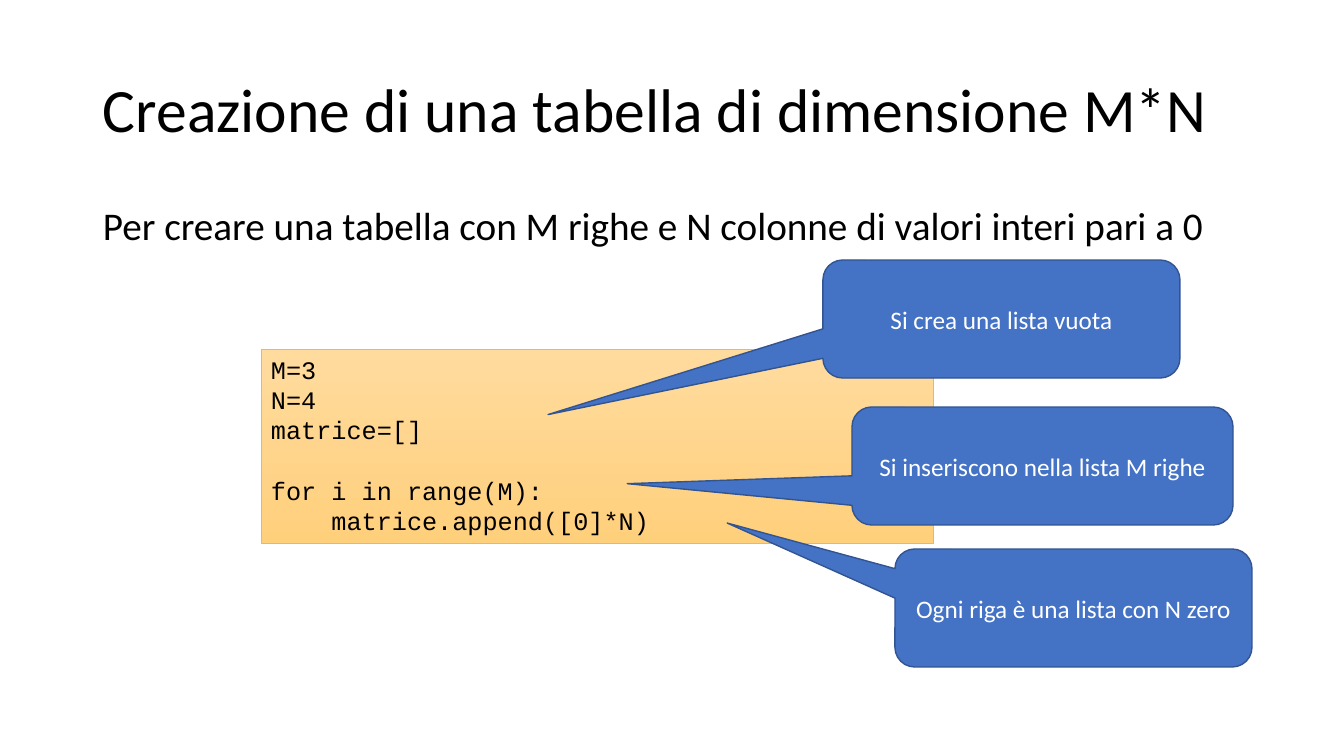
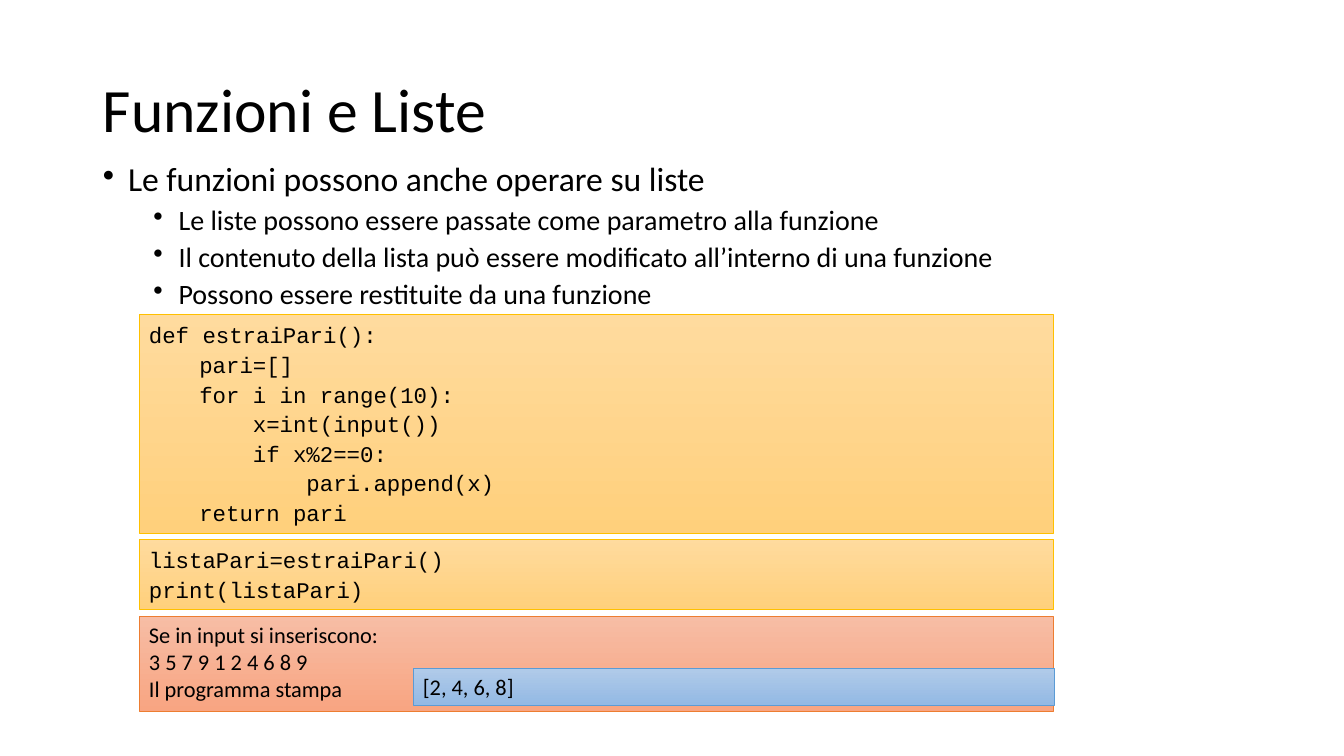
from pptx import Presentation
from pptx.dml.color import RGBColor
from pptx.enum.shapes import MSO_SHAPE
from pptx.enum.text import MSO_ANCHOR, PP_ALIGN
from pptx.oxml.ns import qn
from pptx.util import Pt
from lxml import etree

PX = 914400 / 100.8
RECTANGLE = MSO_SHAPE.RECTANGLE
CALLOUT = MSO_SHAPE.ROUNDED_RECTANGULAR_CALLOUT
TOP, MIDDLE = MSO_ANCHOR.TOP, MSO_ANCHOR.MIDDLE
LEFT, CENTER = PP_ALIGN.LEFT, PP_ALIGN.CENTER

BODY_FONT, CODE_FONT = "Calibri", "Courier New"
BLACK = RGBColor(0x00, 0x00, 0x00)
WHITE = RGBColor(0xFF, 0xFF, 0xFF)
BLUE = RGBColor(0x44, 0x72, 0xC4)
DARK_BLUE = RGBColor(0x32, 0x54, 0x91)
# Panel colours: gradient top, gradient bottom, border
YELLOW_PANEL = (RGBColor(0xFF, 0xDB, 0x9E), RGBColor(0xFF, 0xD0, 0x7C), RGBColor(0xFF, 0xC0, 0x00))
ORANGE_PANEL = (RGBColor(0xF7, 0xBD, 0xA5), RGBColor(0xF8, 0xA5, 0x82), RGBColor(0xED, 0x7D, 0x31))
BLUE_PANEL = (RGBColor(0xB1, 0xCB, 0xE9), RGBColor(0x93, 0xB9, 0xE4), RGBColor(0x5B, 0x9B, 0xD5))


def add_text(slide, box, lines, size, font=BODY_FONT, color=BLACK, shape_type=None,
             anchor=TOP, alignment=LEFT, line_spacing=1.0):
    """Add a text box, or a preset shape, with one paragraph per line."""
    bounds = [round(length * PX) for length in box]
    if shape_type is None:
        shape = slide.shapes.add_textbox(*bounds)
    else:
        shape = slide.shapes.add_shape(shape_type, *bounds)
        shape.shadow.inherit = False
    frame = shape.text_frame
    frame.word_wrap = True
    frame.vertical_anchor = anchor
    frame.text = "\n".join(lines)
    for paragraph in frame.paragraphs:
        paragraph.alignment = alignment
        paragraph.line_spacing = line_spacing
        paragraph.font.size = Pt(size)
        paragraph.font.name = font
        paragraph.font.color.rgb = color
    return shape


def add_panel(slide, box, lines, size, colors, font=BODY_FONT, line_spacing=1.0):
    """Add a bordered rectangle with a vertical gradient."""
    panel = add_text(slide, box, lines, size, font, shape_type=RECTANGLE,
                     line_spacing=line_spacing)
    panel.fill.gradient()
    panel.fill.gradient_angle = 270
    for stop, color in zip(panel.fill.gradient_stops, colors):
        stop.color.rgb = color
    panel.line.color.rgb = colors[2]
    panel.line.width = Pt(0.5)
    return panel


presentation = Presentation()
presentation.slide_width = round(1344 * PX)
presentation.slide_height = round(756 * PX)

# Slides and their titles
slides = []
for title in ("Creazione di una tabella di dimensione M*N", "Funzioni e Liste"):
    slide = presentation.slides.add_slide(presentation.slide_layouts[6])
    add_text(slide, (93, 40, 1159, 146), [title], 44, anchor=MIDDLE, line_spacing=0.9)
    slides.append(slide)
table_slide, functions_slide = slides

# Slide 1: introduction and code
add_text(table_slide, (93, 202, 1159, 480),
         ["Per creare una tabella con M righe e N colonne di valori interi pari a 0"],
         28, line_spacing=0.9)
code = add_panel(table_slide, (261, 349, 672, 194),
                 ["M=3", "N=4", "matrice=[]", "for i in range(M):", "    matrice.append([0]*N)"],
                 18, YELLOW_PANEL, CODE_FONT)
code.text_frame.paragraphs[3].space_before = Pt(21.6)

# Slide 1: callouts pointing at the code
callouts = [
    (823, 260, 357, "Si crea una lista vuota", (-1.27, 0.81)),
    (852, 407, 381, "Si inseriscono nella lista M righe", (-1.09, 0.15)),
    (895, 549, 357, "Ogni riga è una lista con N zero", (-0.97, -0.72)),
]
for left, top, width, text, tip in callouts:
    callout = add_text(table_slide, (left, top, width, 118), [text], 18, color=WHITE,
                       shape_type=CALLOUT, anchor=MIDDLE, alignment=CENTER)
    callout.adjustments[0], callout.adjustments[1] = tip
    callout.fill.solid()
    callout.fill.fore_color.rgb = BLUE
    callout.line.color.rgb = DARK_BLUE
    callout.line.width = Pt(1)

# Slide 2: bullets
bullets = add_text(functions_slide, (93, 158, 1159, 480), [
    "Le funzioni possono anche operare su liste",
    "Le liste possono essere passate come parametro alla funzione",
    "Il contenuto della lista può essere modificato all’interno di una funzione",
    "Possono essere restituite da una funzione",
], 20, line_spacing=0.9)
for index, paragraph in enumerate(bullets.text_frame.paragraphs):
    properties = paragraph._p.get_or_add_pPr()
    properties.set("marL", str(Pt(54 if index else 18)))
    properties.set("indent", str(-Pt(18)))
    bullet = etree.Element(qn("a:buChar"), char="•")
    properties.find(qn("a:defRPr")).addprevious(bullet)
    if index:
        paragraph.level = 1
        paragraph.space_before = Pt(5)
    else:
        paragraph.font.size = Pt(24)

# Slide 2: code panels
function_lines = [
    "def estraiPari():",
    "\tpari=[]",
    "\tfor i in range(10):",
    "\t    x=int(input())",
    "\t    if x%2==0:",
    "\t        pari.append(x)",
    "\treturn pari",
]
call_lines = ["listaPari=estraiPari()", "print(listaPari)"]
for top, height, lines in ((314, 219, function_lines), (539, 70, call_lines)):
    add_panel(functions_slide, (139, top, 914, height), lines, 16, YELLOW_PANEL,
              CODE_FONT, line_spacing=1.1)

# Slide 2: sample input and output
add_panel(functions_slide, (139, 616, 914, 95),
          ["Se in input si inseriscono:", "3 5 7 9 1 2 4 6 8 9", "Il programma stampa"],
          16, ORANGE_PANEL)
add_panel(functions_slide, (413, 668, 641, 37), ["[2, 4, 6, 8]"], 16, BLUE_PANEL)

presentation.save("out.pptx")
